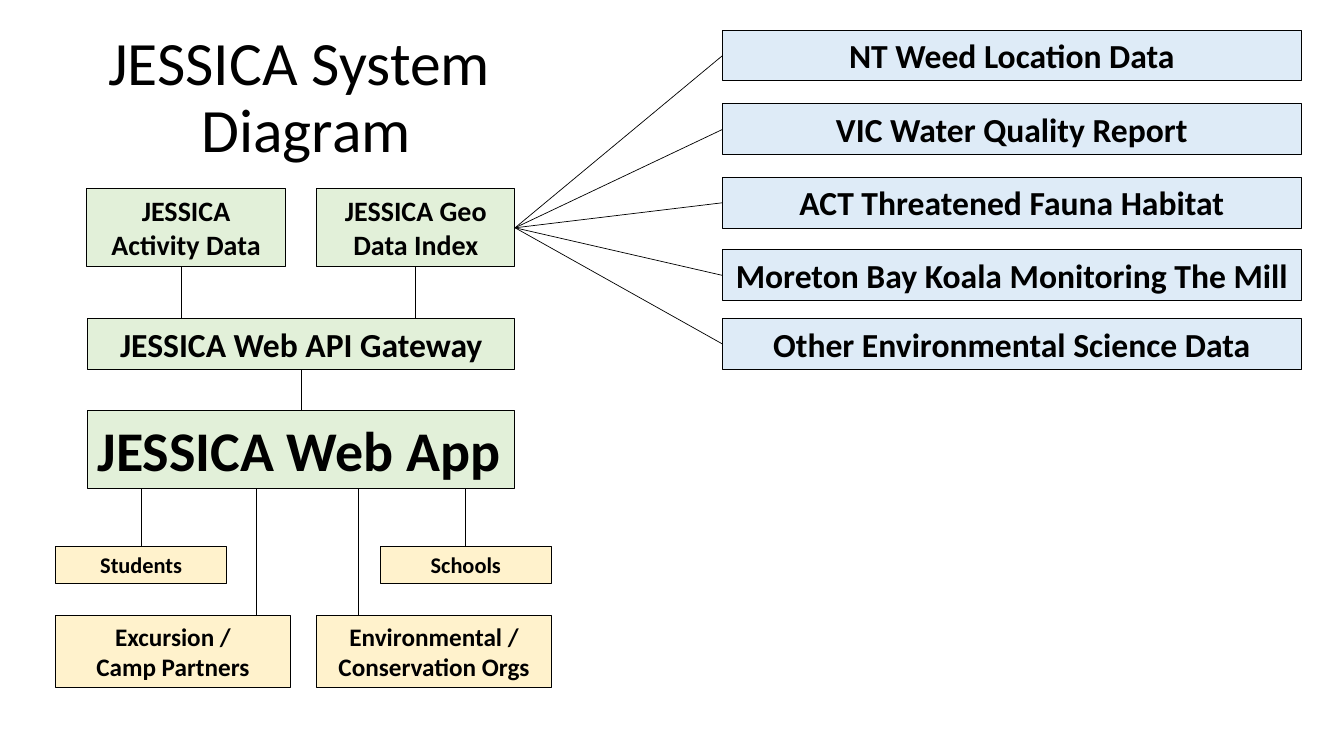
"""Build the JESSICA system diagram slide."""
import pptx
import pptx.util
import pptx.dml.color
import pptx.enum.shapes
import pptx.enum.text
import lxml.etree

Cm, Pt = pptx.util.Cm, pptx.util.Pt
Align = pptx.enum.text.PP_ALIGN
Anchor = pptx.enum.text.MSO_ANCHOR
GREEN, BLUE, CREAM, BLACK = "E2F0D9", "DEEBF7", "FFF2CC", "000000"


def paint(color, code):
    color.rgb = pptx.dml.color.RGBColor.from_string(code)


def write(frame, text, size, bold, align=Align.CENTER):
    frame.word_wrap = True
    frame.text = text
    for para in frame.paragraphs:
        para.alignment = align
        para.font.name = "Calibri"
        para.font.size = Pt(size)
        para.font.bold = bold
        paint(para.font.color, BLACK)


deck = pptx.Presentation()
deck.slide_width, deck.slide_height = Cm(33.87), Cm(19.05)
slide = deck.slides.add_slide(deck.slide_layouts[6])
shapes = slide.shapes

title = shapes.add_textbox(Cm(1.09), Cm(0.66), Cm(13.26), Cm(3.68)).text_frame
write(title, "JESSICA System \vDiagram", 44, False)
title.vertical_anchor = Anchor.MIDDLE
title.paragraphs[0].line_spacing = 0.9

boxes = [
    ("JESSICA Activity Data", 2.18, 4.75, 5.02, 1.96, GREEN, 20),
    ("JESSICA Geo Data Index", 7.98, 4.75, 5, 1.96, GREEN, 20),
    ("JESSICA Web API Gateway", 2.21, 8.03, 10.77, 1.28, GREEN, 24),
    ("JESSICA Web App", 2.21, 10.34, 10.77, 1.96, GREEN, 40),
    ("Students", 1.4, 13.77, 4.32, 0.94, CREAM, 16),
    ("Schools", 9.58, 13.77, 4.32, 0.94, CREAM, 16),
    ("Excursion /\nCamp Partners", 1.4, 15.52, 5.92, 1.8, CREAM, 18),
    ("Environmental / Conservation Orgs", 7.98, 15.52, 5.92, 1.8, CREAM, 18),
]
links = [
    (4.57, 6.71, 4.57, 8.03),
    (10.46, 6.71, 10.46, 8.03),
    (7.59, 9.31, 7.59, 10.34),
    (3.56, 12.3, 3.56, 13.77),
    (11.73, 12.3, 11.73, 13.77),
    (6.45, 12.3, 6.45, 15.52),
    (9.04, 12.3, 9.04, 15.52),
]
feeds = [
    ("NT Weed Location Data", 0.76),
    ("VIC Water Quality Report", 2.62),
    ("ACT Threatened Fauna Habitat", 4.47),
    ("Moreton Bay Koala Monitoring The Mill", 6.3),
    ("Other Environmental Science Data", 8.03),
]
for text, top in feeds:
    boxes.append((text, 18.21, top, 14.58, 1.28, BLUE, 24))
    links.append((12.98, 5.74, 18.21, top + 0.64))

for text, left, top, width, height, fill, size in boxes:
    box = shapes.add_shape(pptx.enum.shapes.MSO_SHAPE.RECTANGLE,
                           Cm(left), Cm(top), Cm(width), Cm(height))
    box.shadow.inherit = False
    box.fill.solid()
    paint(box.fill.fore_color, fill)
    paint(box.line.color, BLACK)
    box.line.width = Pt(0.75)
    align = Align.LEFT if text == "JESSICA Web App" else Align.CENTER
    write(box.text_frame, text, size, True, align)
    box.text_frame.vertical_anchor = Anchor.TOP

for ends in links:
    link = shapes.add_connector(pptx.enum.shapes.MSO_CONNECTOR.STRAIGHT,
                                *[Cm(end) for end in ends])
    paint(link.line.color, BLACK)
    link.line.width = Pt(0.5)
    props = link._element.spPr
    lxml.etree.SubElement(props, pptx.oxml.ns.qn("a:effectLst"))

deck.save("out.pptx")
